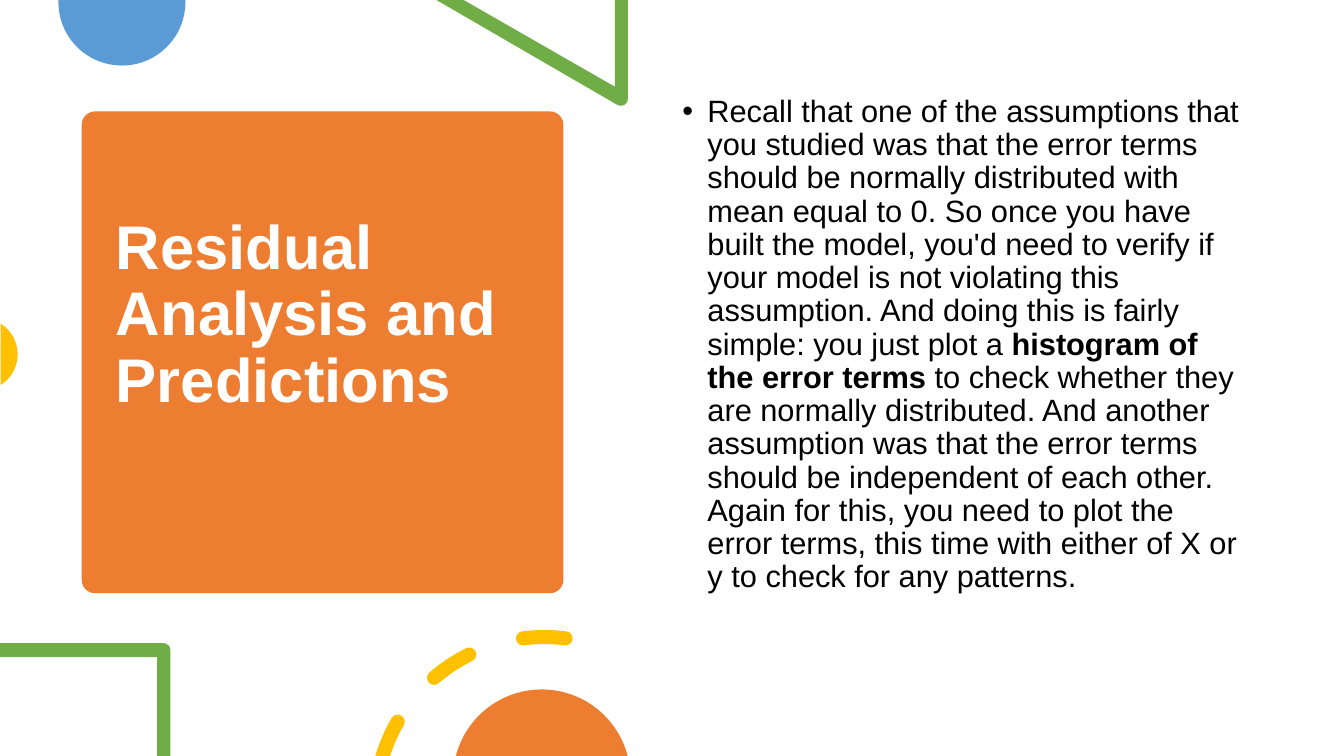
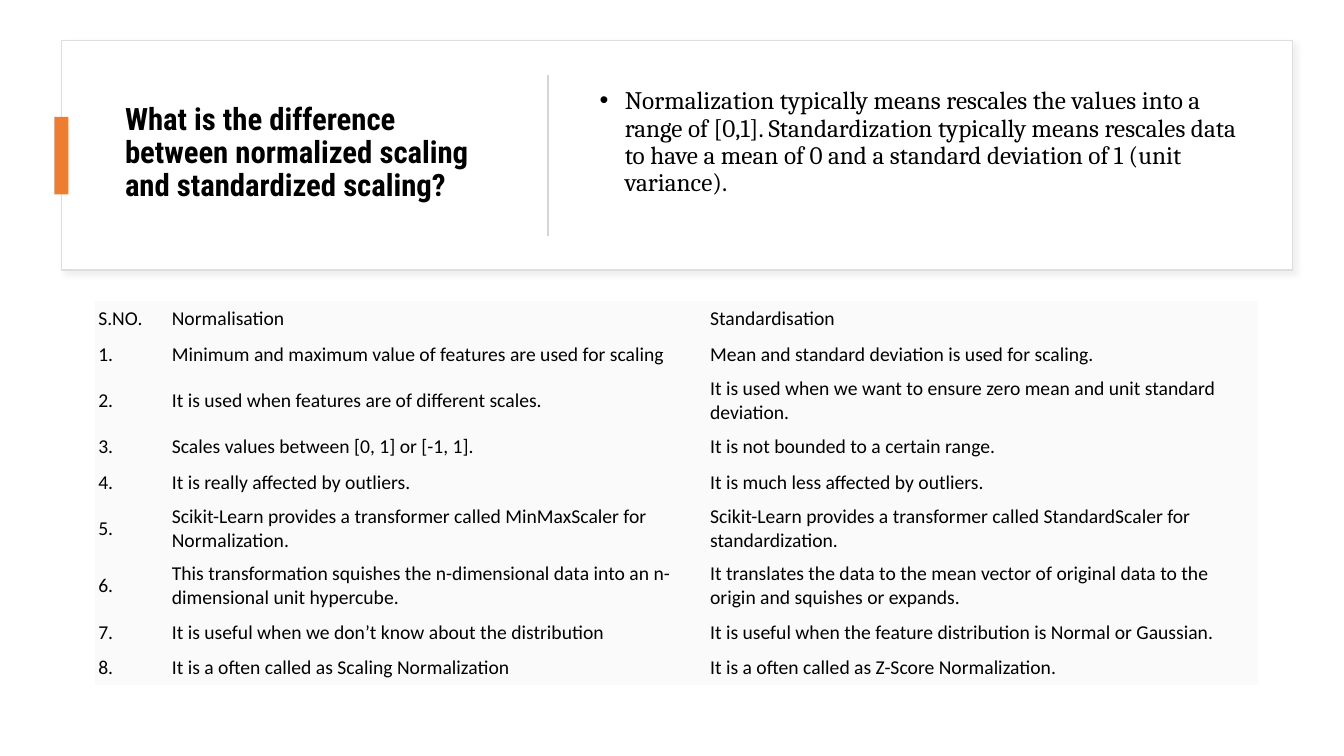
"""Builds two slides on residual analysis and on feature scaling."""
import math

from lxml import etree
from pptx import Presentation
from pptx.dml.color import RGBColor
from pptx.enum.shapes import MSO_CONNECTOR, MSO_SHAPE
from pptx.enum.text import MSO_ANCHOR, MSO_AUTO_SIZE, PP_ALIGN
from pptx.oxml.ns import qn
from pptx.util import Inches, Pt

STRAIGHT = MSO_CONNECTOR.STRAIGHT
RECTANGLE = MSO_SHAPE.RECTANGLE
ROUNDED = MSO_SHAPE.ROUNDED_RECTANGLE
TOP, MIDDLE = MSO_ANCHOR.TOP, MSO_ANCHOR.MIDDLE
LEFT = PP_ALIGN.LEFT
FIXED = MSO_AUTO_SIZE.NONE

BLACK = RGBColor(0x00, 0x00, 0x00)
WHITE = RGBColor(0xFF, 0xFF, 0xFF)
ORANGE = RGBColor(0xED, 0x7D, 0x31)
BLUE = RGBColor(0x5B, 0x9B, 0xD5)
GREEN = RGBColor(0x70, 0xAD, 0x47)
YELLOW = RGBColor(0xFF, 0xC0, 0x00)
CARD_EDGE = RGBColor(0xDE, 0xDE, 0xDE)
CARD_SHADOW = RGBColor(0xC5, 0xC3, 0xC3)
DIVIDER = RGBColor(0xD5, 0xD5, 0xD5)
CELL_FILL = RGBColor(0xFA, 0xFA, 0xFA)

COLUMNS, ROWS = 133.33, 75
TITLE_ONLY = 5
PLAIN_TABLE = "{2D5ABB26-0587-4C30-8999-92F81FD0307C}"

RESIDUALS = [
    ("Recall that one of the assumptions that you studied was that the error "
     "terms should be normally distributed with mean equal to 0. So once you "
     "have built the model, you'd need to verify if your model is not "
     "violating this assumption. And doing this is fairly simple: you just "
     "plot a", False),
    (" histogram of the error terms", True),
    (" to check whether they are normally distributed. And another assumption "
     "was that the error terms should be independent of each other. Again for "
     "this, you need to plot the error terms, this time with either of X or y "
     "to check for any patterns.", False),
]
SCALING = [
    ("Normalization typically means rescales the values into a range of [0,1]. "
     "Standardization typically means rescales data to have a mean of 0 and a "
     "standard deviation of 1 (unit variance).", False),
]
COMPARISON = [
    ("S.NO.", "Normalisation", "Standardisation"),
    ("1.", "Minimum and maximum value of features are used for scaling",
     "Mean and standard deviation is used for scaling."),
    ("2.", "It is used when features are of different scales.",
     "It is used when we want to ensure zero mean and unit standard deviation."),
    ("3.", "Scales values between [0, 1] or [-1, 1].",
     "It is not bounded to a certain range."),
    ("4.", "It is really affected by outliers.",
     "It is much less affected by outliers."),
    ("5.", "Scikit-Learn provides a transformer called MinMaxScaler for "
     "Normalization.",
     "Scikit-Learn provides a transformer called StandardScaler for "
     "standardization."),
    ("6.", "This transformation squishes the n-dimensional data into an "
     "n-dimensional unit hypercube.",
     "It translates the data to the mean vector of original data to the "
     "origin and squishes or expands."),
    ("7.", "It is useful when we don’t know about the distribution",
     "It is useful when the feature distribution is Normal or Gaussian."),
    ("8.", "It is a often called as Scaling Normalization",
     "It is a often called as Z-Score Normalization."),
]


def grid(*cells):
    """Turn grid columns or rows into lengths."""
    return [Inches(cell / 10) for cell in cells]


def lines(*points):
    """Turn points into straight segments."""
    return [[point] for point in points]


def arc(center, radius, start, end):
    """Return a line to the arc's start, then curves of a quarter at most."""
    def spot(angle, pull=0):
        cosine, sine = math.cos(angle), math.sin(angle)
        return (center[0] + radius * (cosine - pull * sine),
                center[1] + radius * (sine + pull * cosine))

    count = math.ceil(abs(end - start) / 90)
    step = math.radians(end - start) / count
    pull = 4 / 3 * math.tan(step / 4)
    angles = [math.radians(start) + step * index for index in range(count + 1)]
    return [[spot(angles[0])]] + [
        [spot(before, pull), spot(after, -pull), spot(after)]
        for before, after in zip(angles, angles[1:])]


def dash(center, radius, width, start, end):
    """Outline a curved dash; without a start the slide's bottom cuts it."""
    half = width / 2
    last = arc(center, radius, start or end, end)[-1][-1] if start else (
        arc(center, radius, end - 1, end)[-1][-1])
    outer, inner = radius + half, radius - half
    drop = center[1] - ROWS
    begins = [start or 180 + math.degrees(math.asin(drop / size))
              for size in (outer, inner)]
    outline = (arc(center, outer, begins[0], end)
               + arc(last, half, end, end + 180)[1:]
               + arc(center, inner, end, begins[1])[1:])
    if start:
        first = arc(center, radius, end, start)[-1][-1]
        outline += arc(first, half, start + 180, start + 360)[1:]
    return outline


class Deck:
    """Hold the shared style and the current slide."""

    def __init__(self):
        self.presentation = Presentation()
        self.presentation.slide_width, self.presentation.slide_height = grid(
            COLUMNS, ROWS)
        self.slide = None

    def add_slide(self):
        """Start a title-only slide."""
        layout = self.presentation.slide_layouts[TITLE_ONLY]
        self.slide = self.presentation.slides.add_slide(layout)

    def paint(self, shape, fill, edge=None):
        """Give a shape a flat fill and an optional thin edge."""
        shape.shadow.inherit = False
        shape.fill.solid()
        shape.fill.fore_color.rgb = fill
        if edge is None:
            shape.line.fill.background()
        else:
            shape.line.color.rgb = edge
            shape.line.width = Pt(1)
        return shape

    def box(self, kind, place, fill, edge=None):
        """Add a preset shape."""
        shape = self.slide.shapes.add_shape(kind, *grid(*place))
        return self.paint(shape, fill, edge)

    def outline(self, fill, *contours):
        """Add one freeform of closed contours with lines and curves."""
        builder = None
        for contour in contours:
            corners = [grid(*point) for segment in contour for point in segment]
            if builder is None:
                builder = self.slide.shapes.build_freeform(
                    *corners[0], scale=1.0)
            else:
                builder.move_to(*corners[0])
            builder.add_line_segments(corners[1:], close=True)
        shape = self.paint(builder.convert_to_shape(), fill)
        drawn = iter(list(shape._element.iter(qn("a:lnTo"))))
        for segment in (part for contour in contours for part in contour[1:]):
            steps = [next(drawn) for _ in segment]
            if len(steps) == 3:
                steps[0].tag = qn("a:cubicBezTo")
                for step in steps[1:]:
                    steps[0].append(step[0])
                    step.getparent().remove(step)

    def soft_shadow(self, shape, color):
        """Cast a light shadow to the lower right."""
        effects = shape._element.spPr.find(qn("a:effectLst"))
        shadow = etree.SubElement(
            effects, qn("a:outerShdw"), blurRad=str(Pt(4)), dist=str(Pt(3)),
            dir="2700000", algn="tl", rotWithShape="0")
        tint = etree.SubElement(shadow, qn("a:srgbClr"), val=str(color))
        etree.SubElement(tint, qn("a:alpha"), val="25000")

    def vertical_line(self, x, top, bottom, color):
        """Add a thin vertical line."""
        line = self.slide.shapes.add_connector(
            STRAIGHT, *grid(x, top, x, bottom))
        line.line.color.rgb = color
        line.line.width = Pt(1.5)
        etree.SubElement(line._element.spPr, qn("a:effectLst"))

    def style_run(self, run, font, size, color=BLACK, bold=False):
        """Format one run."""
        run.font.name = font
        run.font.size = Pt(size)
        run.font.color.rgb = color
        run.font.bold = bold

    def prepare(self, frame, anchor, bottom=0.5):
        """Set wrapping, anchor and bottom inset of a text frame."""
        frame.word_wrap = True
        frame.auto_size = FIXED
        frame.vertical_anchor = anchor
        frame.margin_bottom = grid(bottom)[0]
        paragraph = frame.paragraphs[0]
        paragraph.alignment = LEFT
        paragraph.line_spacing = 0.9
        return paragraph

    def title(self, text, place, font, size, color=BLACK):
        """Fill the title placeholder and bring it to the front."""
        shape = self.slide.shapes.title
        shape.left, shape.top, shape.width, shape.height = grid(*place)
        shape.text_frame.text = text
        paragraph = self.prepare(shape.text_frame, MIDDLE)
        for run in paragraph.runs:
            self.style_run(run, font, size, color, True)
        ending = etree.SubElement(paragraph._p, qn("a:endParaRPr"))
        breaks = [etree.SubElement(item, qn("a:rPr"))
                  for item in paragraph._p.findall(qn("a:br"))]
        for properties in breaks + [ending]:
            properties.set("sz", str(size * 100))
            properties.set("b", "1")
            etree.SubElement(properties, qn("a:latin"), typeface=font)
        self.slide.shapes._spTree.append(shape._element)

    def bullet(self, parts, place, font, size, anchor=TOP, bottom=0.5):
        """Add a bulleted paragraph made of (text, bold) parts."""
        frame = self.slide.shapes.add_textbox(*grid(*place)).text_frame
        paragraph = self.prepare(frame, anchor, bottom)
        paragraph.space_before = Pt(10)
        for text, bold in parts:
            run = paragraph.add_run()
            run.text = text
            self.style_run(run, font, size, bold=bold)
        properties = paragraph._p.get_or_add_pPr()
        properties.set("marL", str(Inches(0.25)))
        properties.set("indent", str(-Inches(0.25)))
        etree.SubElement(properties, qn("a:buFont"), typeface="Arial")
        etree.SubElement(properties, qn("a:buChar"), char="•")

    def table(self, rows, place, widths, heights, font, size):
        """Add a plain table with one fill."""
        table = self.slide.shapes.add_table(
            len(rows), len(widths), *grid(*place)).table
        table.first_row = table.horz_banding = False
        table._tbl.tblPr.find(qn("a:tableStyleId")).text = PLAIN_TABLE
        for column, width in zip(table.columns, grid(*widths)):
            column.width = width
        for row, height, texts in zip(table.rows, grid(*heights), rows):
            row.height = height
            for cell, text in zip(row.cells, texts):
                cell.text = text
                cell.fill.solid()
                cell.fill.fore_color.rgb = CELL_FILL
                cell.vertical_anchor = MIDDLE
                cell.margin_left = cell.margin_right = Inches(0.03)
                cell.margin_top = cell.margin_bottom = Inches(0.03)
                self.style_run(cell.text_frame.paragraphs[0].runs[0],
                               font, size)


def residual_slide(deck):
    """Build the residual analysis slide."""
    deck.add_slide()
    panel = deck.box(ROUNDED, (8.1, 11.05, 47.8, 47.8), ORANGE)
    panel.adjustments[0] = 0.028
    deck.title("Residual Analysis and Predictions\v", (10.5, 12.2, 43.1, 45.6),
               "Arial", 44, WHITE)
    deck.outline(BLUE, lines((18.4, 0), (5.8, 0))
                 + arc((12.1, 0.2), 6.3, 180, 0))
    deck.outline(GREEN, lines((62.3, 0), (61, 0), (61, 8.6), (46, 0), (43.3, 0))
                 + arc((61.6, 9.8), 0.7, 120, 0))
    deck.outline(YELLOW, arc((-1.85, 35.15), 3.6, -58, 58))
    deck.bullet(RESIDUALS, (66.7, 9, 57.5, 53.5), "Arial", 22)
    deck.outline(GREEN, lines((0, 65.2), (0, 63.8))
                 + arc((16.2, 64.5), 0.7, -90, 0)
                 + lines((16.9, ROWS), (15.6, ROWS), (15.6, 65.2)))
    spans = ((None, 210), (229.4, 243.7), (262.8, 277.2))
    deck.outline(YELLOW, *(dash((54, 80), 16.8, 1.4, start, end)
                           for start, end in spans))
    deck.outline(ORANGE, arc((53.75, 77.2), 8.8, 194.5, 345.5))


def scaling_slide(deck):
    """Build the slide that compares two kinds of scaling."""
    deck.add_slide()
    card = deck.box(RECTANGLE, (6.1, 4, 122.1, 22.8), WHITE, CARD_EDGE)
    deck.soft_shadow(card, CARD_SHADOW)
    deck.title("\vWhat is the difference between normalized scaling and "
               "standardized scaling?\v", (11.4, 6.4, 38.9, 18),
               "Roboto Condensed", 22)
    deck.box(RECTANGLE, (5.4, 11.6, 1.4, 7.7), ORANGE)
    deck.vertical_line(54.4, 7.4, 23.4, DIVIDER)
    deck.bullet(SCALING, (58.5, 6.4, 65.6, 18), "Cambria", 18, MIDDLE, 3)
    single, double = 3.5, 5.7
    heights = [double if number in (2, 5, 6) else single
               for number in range(len(COMPARISON))]
    deck.table(COMPARISON, (9.45, 29.9, 115.4, sum(heights)),
               (7.3, 53.4, 54.7), heights, "Calibri", 14)


def main():
    """Build and save the presentation."""
    deck = Deck()
    residual_slide(deck)
    scaling_slide(deck)
    deck.presentation.save("out.pptx")


if __name__ == "__main__":
    main()
